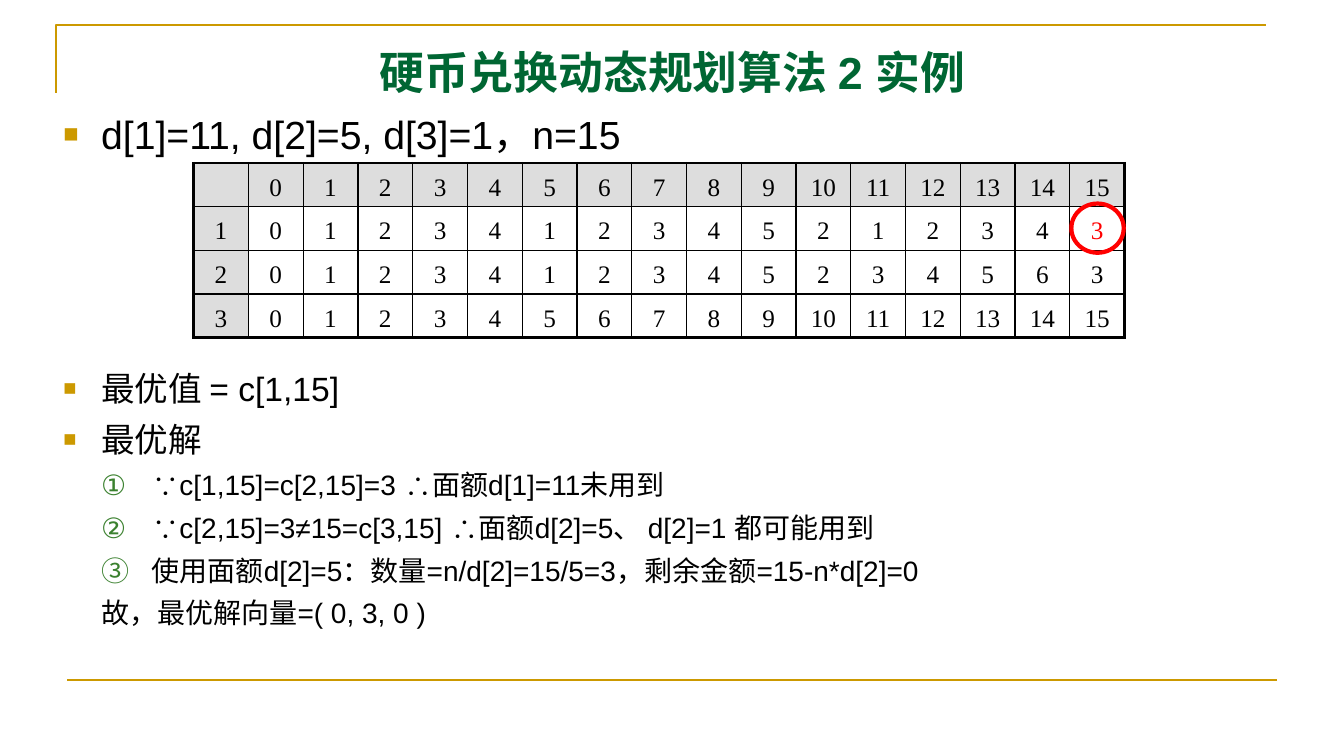
"""Build the slide with a worked example of coin-change dynamic programming."""
from dataclasses import dataclass

from lxml import etree
from pptx import Presentation
from pptx.dml.color import RGBColor
from pptx.enum.shapes import MSO_CONNECTOR, MSO_SHAPE
from pptx.enum.text import MSO_ANCHOR, MSO_AUTO_SIZE, PP_ALIGN
from pptx.oxml.ns import qn
from pptx.slide import Slide
from pptx.table import _Cell
from pptx.text.text import TextFrame, _Paragraph
from pptx.util import Cm, Pt

CENTER = PP_ALIGN.CENTER
MIDDLE = MSO_ANCHOR.MIDDLE
TOP = MSO_ANCHOR.TOP
NO_AUTOFIT = MSO_AUTO_SIZE.NONE
ELLIPSE = MSO_SHAPE.OVAL
STRAIGHT = MSO_CONNECTOR.STRAIGHT


@dataclass(frozen=True)
class Theme:
    """Colours, fonts and type sizes of the slide."""
    ink: str = "000000"
    title: str = "006633"
    gold: str = "CC9900"
    number: str = "3B812F"
    header: str = "DDDDDD"
    answer: str = "FF0000"
    sans: str = "Arial"
    serif: str = "Times New Roman"
    title_size: int = 32
    given_size: int = 28
    result_size: int = 24
    step_size: int = 20
    cell_size: int = 18
    rule: float = 1.5
    ring: float = 3
    grid: float = 1
    edge: float = 2.25


THEME = Theme()


@dataclass(frozen=True)
class Box:
    """Position and size in centimetres."""
    left: float
    top: float
    width: float
    height: float

    def lengths(self) -> tuple[Cm, Cm, Cm, Cm]:
        """Return the four lengths in drawing order."""
        return Cm(self.left), Cm(self.top), Cm(self.width), Cm(self.height)


@dataclass(frozen=True)
class Style:
    """Size, indents and marker of a line of text."""
    size: int
    margin: float
    indent: float
    marker: str = ""
    level: int = 0


@dataclass(frozen=True)
class Line:
    """A line of text with its style."""
    text: str
    style: Style


GIVEN = Style(THEME.given_size, 0.95, -0.95, "square")
RESULT = Style(THEME.result_size, 0.95, -0.95, "square")
STEP = Style(THEME.step_size, 2.22, -1.27, "number", 1)
CONCLUSION = Style(THEME.step_size, 0.95, 0, "", 1)

TITLE = "硬币兑换动态规划算法 2 实例"
TITLE_BOX = Box(1.7, 0.76, 30.48, 1.96)
TEXTS = {
    Box(1.35, 2.54, 26.29, 2.06): [Line("d[1]=11, d[2]=5, d[3]=1，n=15", GIVEN)],
    Box(1.35, 9.04, 30.48, 7.44): [
        Line("最优值 = c[1,15]", RESULT),
        Line("最优解", RESULT),
        Line("∵c[1,15]=c[2,15]=3 ∴面额d[1]=11未用到", STEP),
        Line("∵c[2,15]=3≠15=c[3,15] ∴面额d[2]=5、 d[2]=1 都可能用到", STEP),
        Line("使用面额d[2]=5：数量=n/d[2]=15/5=3，剩余金额=15-n*d[2]=0", STEP),
        Line("故，最优解向量=( 0, 3, 0 )", CONCLUSION),
    ],
}
AMOUNTS = list(range(16))
COIN_COUNTS = [
    ["", *AMOUNTS],
    [1, 0, 1, 2, 3, 4, 1, 2, 3, 4, 5, 2, 1, 2, 3, 4, 3],
    [2, 0, 1, 2, 3, 4, 1, 2, 3, 4, 5, 2, 3, 4, 5, 6, 3],
    [3, *AMOUNTS],
]
ANSWER_CELL = (1, 16)
TABLE_BOX = Box(4.88, 4.11, 23.47, 4.4)
RING_BOX = Box(27, 5.13, 1.32, 1.24)
CORNER = [(1.42, 2.34), (1.42, 0.64), (31.9, 0.64)]
FOOT_RULE = (1.7, 17.14, 32.18, 17.14)


def apply(target: object, values: dict[str, object]) -> None:
    """Set each named attribute on the target."""
    for name, value in values.items():
        setattr(target, name, value)


def write(paragraph: _Paragraph, text: str, size: int, font: str, color: str,
          spacing: float, before: float = 0.2, bold: bool = False) -> None:
    """Write one formatted run and set the spacing of its paragraph."""
    apply(paragraph, {"line_spacing": spacing, "space_before": Pt(size * before)})
    run = paragraph.add_run()
    run.text = text
    apply(run.font, {"size": Pt(size), "name": font, "bold": bold})
    run.font.color.rgb = RGBColor.from_string(color)


def add_marker(paragraph: _Paragraph, style: Style) -> None:
    """Set the indents and the bullet or circled number of a paragraph."""
    properties = paragraph._p.get_or_add_pPr()
    properties.set("marL", str(Cm(style.margin)))
    properties.set("indent", str(Cm(style.indent)))
    if not style.marker:
        etree.SubElement(properties, qn("a:buNone"))
        return
    square = style.marker == "square"
    tint = etree.SubElement(properties, qn("a:buClr"))
    etree.SubElement(tint, qn("a:srgbClr"), val=THEME.gold if square else THEME.number)
    if square:
        etree.SubElement(properties, qn("a:buSzPct"), val="65000")
        etree.SubElement(properties, qn("a:buFont"), typeface=THEME.sans)
        etree.SubElement(properties, qn("a:buChar"), char="■")
    else:
        etree.SubElement(properties, qn("a:buAutoNum"), type="circleNumDbPlain")


def fill_lines(frame: TextFrame, lines: list[Line]) -> None:
    """Write the lines into a text frame."""
    apply(frame, {"word_wrap": True, "auto_size": NO_AUTOFIT, "vertical_anchor": TOP})
    for index, line in enumerate(lines):
        paragraph = frame.add_paragraph() if index else frame.paragraphs[0]
        paragraph.level = line.style.level
        write(paragraph, line.text, line.style.size, THEME.sans, THEME.ink, 1.1)
        add_marker(paragraph, line.style)


def add_borders(cell: _Cell, outer: dict[str, bool]) -> None:
    """Draw the four cell borders, heavier on the outer edge."""
    properties = cell._tc.get_or_add_tcPr()
    for side, is_outer in outer.items():
        width = Pt(THEME.edge if is_outer else THEME.grid)
        border = etree.SubElement(properties, qn(f"a:ln{side}"), w=str(width))
        paint = etree.SubElement(border, qn("a:solidFill"))
        etree.SubElement(paint, qn("a:srgbClr"), val=THEME.ink)


def add_coin_table(slide: Slide) -> None:
    """Add the table of minimal coin counts."""
    rows, columns = len(COIN_COUNTS), len(COIN_COUNTS[0])
    table = slide.shapes.add_table(rows, columns, *TABLE_BOX.lengths()).table
    apply(table, {"first_row": False, "horz_banding": False})
    for r, counts in enumerate(COIN_COUNTS):
        for c, count in enumerate(counts):
            cell = table.cell(r, c)
            add_borders(cell, {"L": c == 0, "R": c == columns - 1,
                               "T": r == 0, "B": r == rows - 1})
            if r == 0 or c == 0:
                cell.fill.solid()
                cell.fill.fore_color.rgb = RGBColor.from_string(THEME.header)
            else:
                cell.fill.background()
            paragraph = cell.text_frame.paragraphs[0]
            paragraph.alignment = CENTER
            color = THEME.answer if (r, c) == ANSWER_CELL else THEME.ink
            write(paragraph, str(count), THEME.cell_size, THEME.serif, color, 1.2)


def add_frame(slide: Slide) -> None:
    """Add the gold corner and the rule at the foot."""
    start, *bends = [(Cm(x), Cm(y)) for x, y in CORNER]
    builder = slide.shapes.build_freeform(*start)
    builder.add_line_segments(bends, close=False)
    corner = builder.convert_to_shape()
    corner.fill.background()
    corner.shadow.inherit = False
    rule = slide.shapes.add_connector(STRAIGHT, *map(Cm, FOOT_RULE))
    etree.SubElement(rule._element.spPr, qn("a:effectLst"))
    for part in (corner, rule):
        part.line.color.rgb = RGBColor.from_string(THEME.gold)
        part.line.width = Pt(THEME.rule)
    effects = rule._element.spPr.find(qn("a:effectLst"))
    rule._element.spPr.append(effects)


def add_title(slide: Slide) -> None:
    """Place and format the title."""
    title = slide.shapes.title
    apply(title, dict(zip(("left", "top", "width", "height"), TITLE_BOX.lengths())))
    apply(title.text_frame, {"vertical_anchor": MIDDLE, "auto_size": NO_AUTOFIT,
                             "word_wrap": True})
    heading = title.text_frame.paragraphs[0]
    heading.alignment = CENTER
    write(heading, TITLE, THEME.title_size, THEME.sans, THEME.title, 1.1, 0, True)


def add_answer_ring(slide: Slide) -> None:
    """Circle the optimal value in the table."""
    ring = slide.shapes.add_shape(ELLIPSE, *RING_BOX.lengths())
    ring.shadow.inherit = False
    ring.fill.background()
    ring.line.color.rgb = RGBColor.from_string(THEME.answer)
    ring.line.width = Pt(THEME.ring)


def main() -> None:
    """Build and save the slide."""
    deck = Presentation()
    apply(deck, {"slide_width": Cm(33.87), "slide_height": Cm(19.05)})
    slide = deck.slides.add_slide(deck.slide_layouts.get_by_name("Title Only"))
    add_frame(slide)
    add_title(slide)
    for box, lines in TEXTS.items():
        fill_lines(slide.shapes.add_textbox(*box.lengths()).text_frame, lines)
    add_coin_table(slide)
    add_answer_ring(slide)
    deck.save("out.pptx")


if __name__ == "__main__":
    main()
